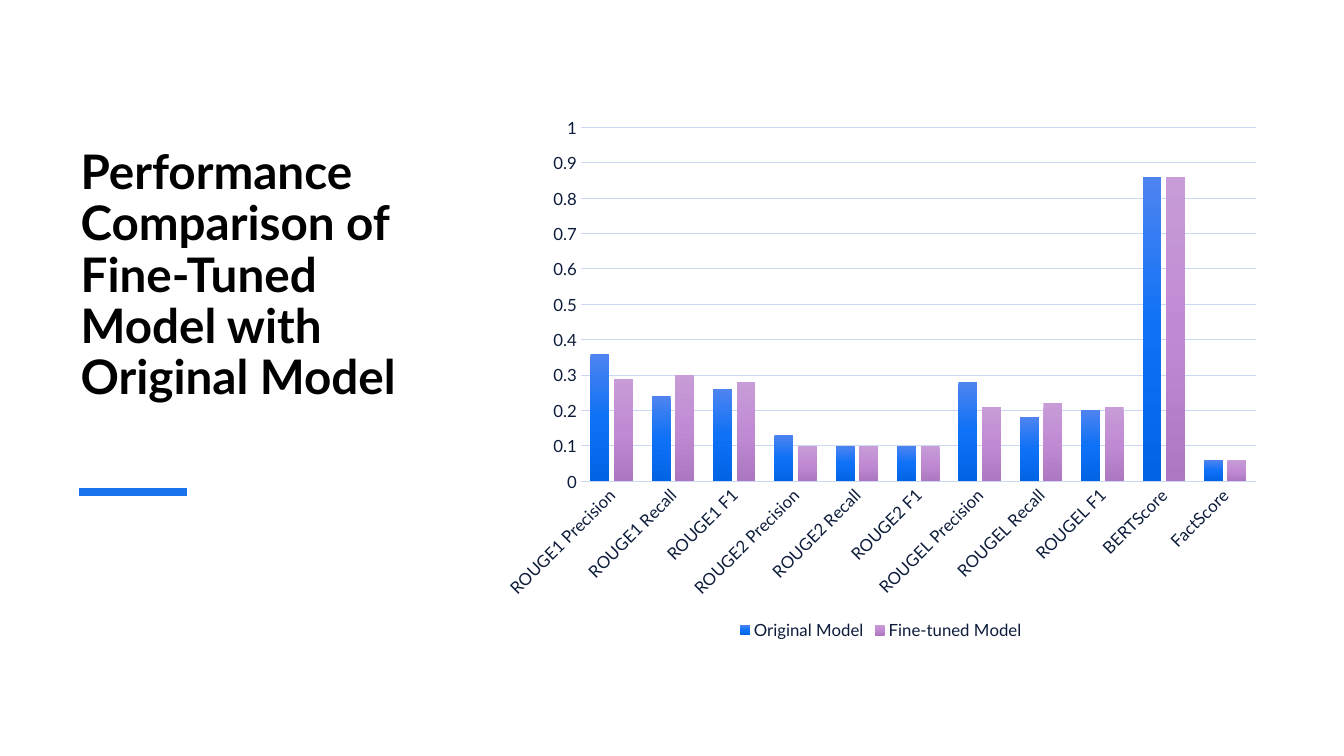
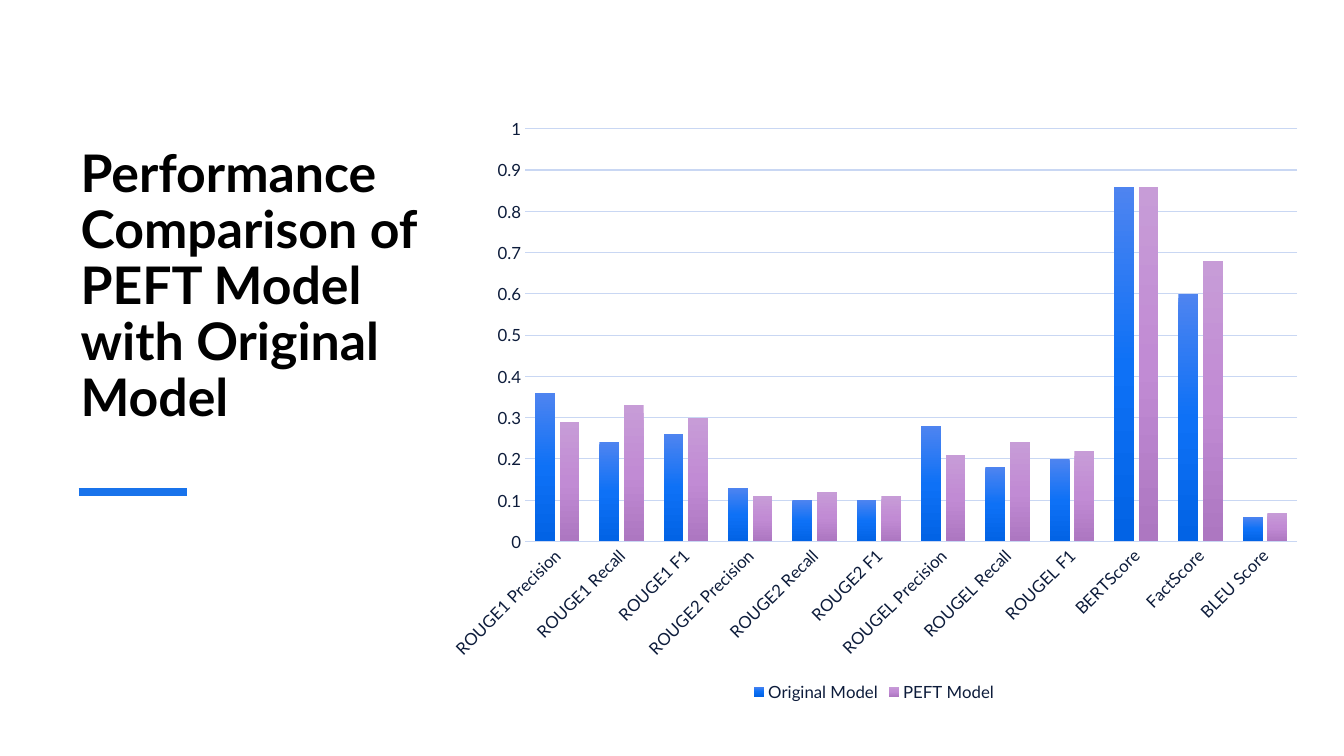
"""Build two slides that compare model scores in column charts."""
from copy import deepcopy

from pptx import Presentation
from pptx.chart.data import CategoryChartData
from pptx.dml.color import RGBColor
from pptx.enum.chart import XL_CHART_TYPE, XL_LEGEND_POSITION, XL_TICK_MARK
from pptx.enum.shapes import MSO_CONNECTOR
from pptx.enum.text import MSO_ANCHOR, MSO_AUTO_SIZE, PP_ALIGN
from pptx.oxml.ns import qn
from pptx.util import Inches, Pt
from lxml.etree import SubElement

BLACK = RGBColor(0x00, 0x00, 0x00)
NAVY = RGBColor(0x0D, 0x1C, 0x3B)
PALE = RGBColor(0xC9, 0xD7, 0xF3)
ACCENT = RGBColor(0x19, 0x73, 0xEB)
BLUES = [RGBColor(0x4E, 0x84, 0xF0), RGBColor(0x0E, 0x71, 0xF6), RGBColor(0x02, 0x63, 0xE5)]
PURPLES = [RGBColor(0xC7, 0x9C, 0xD7), RGBColor(0xC1, 0x8B, 0xD4), RGBColor(0xAD, 0x77, 0xC1)]
FONT = "Lato"

FRAME = {"word_wrap": True, "auto_size": MSO_AUTO_SIZE.NONE, "vertical_anchor": MSO_ANCHOR.TOP}
PARA = {"alignment": PP_ALIGN.LEFT, "line_spacing": 0.9}
LABEL = {"name": FONT, "size": Pt(12)}
SCALE = {"minimum_scale": 0, "maximum_scale": 1, "major_unit": 0.1, "has_major_gridlines": True}
LEGEND = {"position": XL_LEGEND_POSITION.BOTTOM, "include_in_layout": False}

ROUGE = [f"{kind} {part}" for kind in ("ROUGE1", "ROUGE2", "ROUGEL")
         for part in ("Precision", "Recall", "F1")]
BASE = [0.36, 0.24, 0.26, 0.13, 0.1, 0.1, 0.28, 0.18, 0.2, 0.86]

SLIDES = [
    {
        "title": "Performance Comparison of Fine-Tuned Model with Original Model",
        "size": 34,
        "box": (4.86, 1.06, 7.75, 5.33),
        "cats": ROUGE + ["BERTScore", "FactScore"],
        "series": {
            "Original Model": BASE + [0.06],
            "Fine-tuned Model": [0.29, 0.3, 0.28, 0.1, 0.1, 0.1, 0.21, 0.22, 0.21, 0.86, 0.06],
        },
    },
    {
        "title": "Performance Comparison of PEFT Model with Original Model",
        "size": 37,
        "box": (4.3, 1.06, 8.74, 5.94),
        "cats": ROUGE + ["BERTScore", "FactScore", "BLEU Score"],
        "series": {
            "Original Model": BASE + [0.6, 0.06],
            "PEFT Model": [0.29, 0.33, 0.3, 0.11, 0.12, 0.11, 0.21, 0.24, 0.22, 0.86, 0.68, 0.07],
        },
    },
]


def apply(item, values):
    for name, value in values.items():
        setattr(item, name, value)


def shade(series, tones):
    fill = series.format.fill
    fill.gradient()
    fill.gradient_angle = 270
    stops = series.format.fill.gradient_stops
    first = series._element.find(".//" + qn("a:gs"))
    for _ in range(len(tones) - len(stops)):
        first.addnext(deepcopy(first))
    for index, (stop, tone) in enumerate(zip(fill.gradient_stops, tones)):
        stop.position = index / (len(tones) - 1)
        stop.color.rgb = tone


deck = Presentation()
apply(deck, {"slide_width": Inches(13.33), "slide_height": Inches(7.5)})

for page in SLIDES:
    slide = deck.slides.add_slide(deck.slide_layouts[5])

    title = slide.shapes.title
    apply(title, {"left": Inches(0.7), "top": Inches(1.42),
                  "width": Inches(3.6), "height": Inches(3.03)})
    title.text_frame.text = page["title"]
    apply(title.text_frame, FRAME)
    para = title.text_frame.paragraphs[0]
    apply(para, PARA)
    apply(para.font, {"name": FONT, "size": Pt(page["size"]), "bold": True})
    para.font.color.rgb = BLACK

    rule = slide.shapes.add_connector(
        MSO_CONNECTOR.STRAIGHT, Inches(0.78), Inches(4.88), Inches(1.85), Inches(4.88))
    rule.line.color.rgb = ACCENT
    rule.line.width = Pt(6)
    SubElement(rule._element.spPr, qn("a:effectLst"))

    data = CategoryChartData()
    data.categories = page["cats"]
    for name, scores in page["series"].items():
        data.add_series(name, scores)
    box = [Inches(length) for length in page["box"]]
    chart = slide.shapes.add_chart(XL_CHART_TYPE.COLUMN_CLUSTERED, *box, data).chart
    apply(chart, {"has_title": False, "has_legend": True})
    apply(chart.font, {"name": FONT, "size": Pt(10)})
    chart.font.color.rgb = BLACK

    plot = chart.plots[0]
    apply(plot, {"gap_width": 100, "overlap": -24, "vary_by_categories": False})
    for series, tones in zip(plot.series, (BLUES, PURPLES)):
        shade(series, tones)

    names, scale = chart.category_axis, chart.value_axis
    apply(scale, SCALE)
    apply(chart.legend, LEGEND)
    for axis in (names, scale):
        apply(axis, {"major_tick_mark": XL_TICK_MARK.NONE, "minor_tick_mark": XL_TICK_MARK.NONE})
    for font in (names.tick_labels.font, scale.tick_labels.font, chart.legend.font):
        apply(font, LABEL)
        font.color.rgb = NAVY
    for line in (names.format.line, scale.major_gridlines.format.line):
        line.color.rgb = PALE
        line.width = Pt(0.75)
    scale.format.line.fill.background()
    names._element.find(".//" + qn("a:bodyPr")).set("rot", "-2700000")

deck.save("out.pptx")
